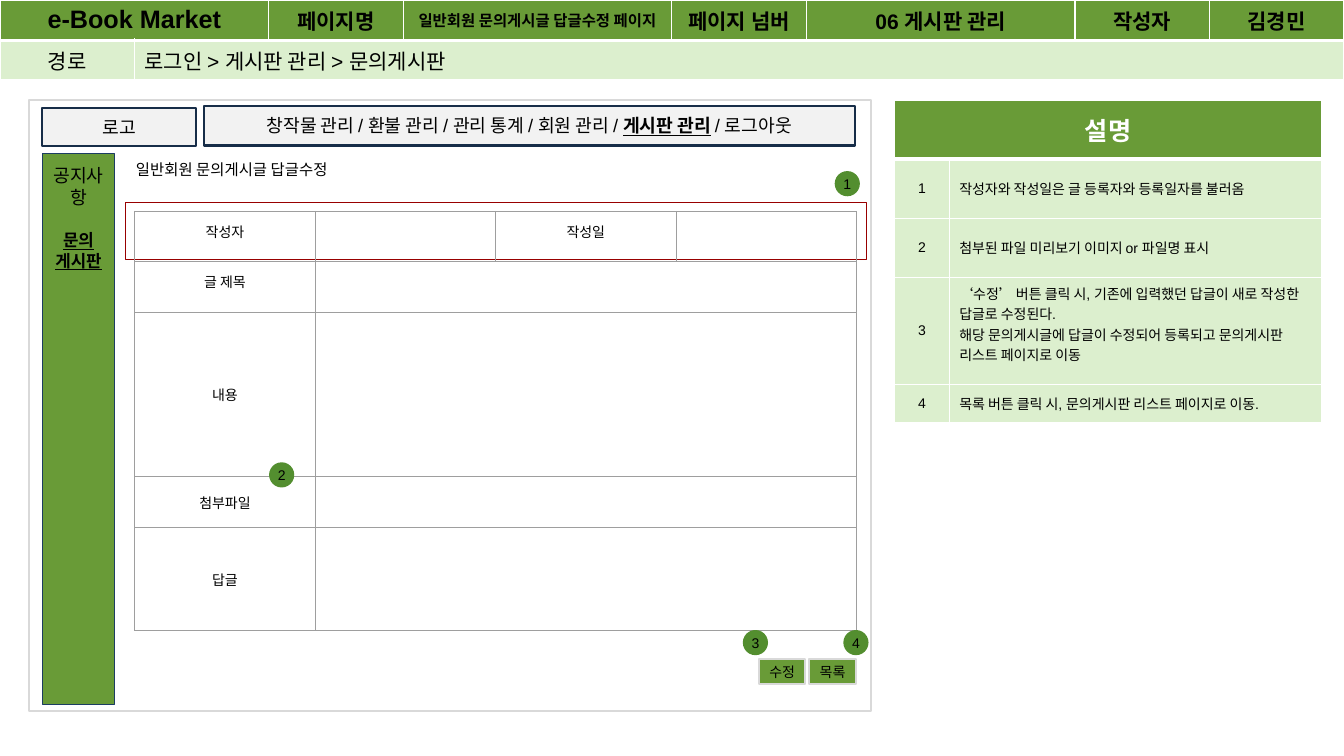
"""Builds the wireframe slide for the inquiry reply edit page."""
from lxml import etree
from pptx import Presentation
from pptx.dml.color import RGBColor
from pptx.enum.shapes import MSO_SHAPE
from pptx.enum.text import MSO_ANCHOR, PP_ALIGN
from pptx.oxml.ns import qn
from pptx.util import Pt

RECTANGLE, OVAL = MSO_SHAPE.RECTANGLE, MSO_SHAPE.OVAL
TOP, MIDDLE = MSO_ANCHOR.TOP, MSO_ANCHOR.MIDDLE
LEFT, CENTER = PP_ALIGN.LEFT, PP_ALIGN.CENTER
GREEN, PALE, BADGE = "699B37", "DCEFCE", "538E2F"
WHITE, BLACK, LIGHT, GREY, NAVY = "FFFFFF", "000000", "F2F2F2", "D9D9D9", "172D48"


def paint(fill, colour):
    if colour:
        fill.solid()
        fill.fore_color.rgb = RGBColor.from_string(colour)
    else:
        fill.background()


def write(frame, text, size=10, bold=False, colour=BLACK, align=CENTER, emphasis="", before=0):
    frame.word_wrap = True
    paragraph = frame.paragraphs[0]
    if paragraph.runs:
        paragraph = frame.add_paragraph()
    paragraph.alignment = align
    if before:
        paragraph.space_before = Pt(before)
    parts = text.partition(emphasis) if emphasis else (text,)
    for part in filter(None, parts):
        run = paragraph.add_run()
        run.text = part
        run.font.name = "Arial"
        run.font.size = Pt(size)
        run.font.bold = bold or part == emphasis
        run.font.underline = part == emphasis
        paint(run.font.fill, colour)


presentation = Presentation()
presentation.slide_width, presentation.slide_height = Pt(960), Pt(540)
slide = presentation.slides.add_slide(presentation.slide_layouts[6])

menu = "창작물 관리 / 환불 관리 / 관리 통계 / 회원 관리 / 게시판 관리 / 로그아웃"
boxes = [
    (20.9, 71.3, 601, 436.5, WHITE, GREY, 1.5, ""),
    (90, 90 + 54.7, 529, 41, None, "980000", 0.75, ""),
    (145.5, 75.6, 465, 28.4, LIGHT, NAVY, 1.5, menu),
    (30.2, 77, 110, 27.4, LIGHT, NAVY, 1.5, "로고"),
    (30.2, 110, 51.8, 393, GREEN, "1C3D62", 0.75, "공지사항"),
]
for left, top, width, height, fill, line, weight, text in boxes:
    box = slide.shapes.add_shape(RECTANGLE, Pt(left), Pt(top), Pt(width), Pt(height))
    box.shadow.inherit = False
    paint(box.fill, fill)
    paint(box.line.fill, line)
    box.line.width = Pt(weight)
    if text:
        write(box.text_frame, text, size=13, emphasis="게시판 관리")

sidebar = box.text_frame
sidebar.vertical_anchor = TOP
sidebar.margin_top = sidebar.margin_bottom = Pt(7.2)
write(sidebar, "문의", size=12, emphasis="문의", before=16)
write(sidebar, "게시판", size=12, emphasis="게시판")

heading = slide.shapes.add_textbox(Pt(90), Pt(108), Pt(179.3), Pt(28)).text_frame
heading.margin_top = heading.margin_bottom = Pt(7.2)
write(heading, "일반회원 문의게시글 답글수정", size=11, align=LEFT)

header_rows = [
    ["e-Book Market", "", "페이지명", "일반회원 문의게시글 답글수정 페이지", "페이지 넘버",
     "06 게시판 관리", "작성자", "김경민"],
    ["경로", "로그인 > 게시판 관리 > 문의게시판"],
]
note_rows = [
    ["설명"],
    ["1", "작성자와 작성일은 글 등록자와 등록일자를 불러옴"],
    ["2", "첨부된 파일 미리보기 이미지 or 파일명 표시"],
    ["3", "‘수정’ 버튼 클릭 시, 기존에 입력했던 답글이 새로 작성한 답글로 수정된다.\n"
          "해당 문의게시글에 답글이 수정되어 등록되고 문의게시판 리스트 페이지로 이동"],
    ["4", "목록 버튼 클릭 시, 문의게시판 리스트 페이지로 이동."],
]
board_rows = [["작성자", "", "작성일"], ["글 제목"], ["내용"], ["첨부파일"], ["답글"]]

tables = [
    (0, 0, [96, 96, 96, 192, 96, 192, 96, 96], [28.8, 28.2], header_rows,
     [(0, 0, 1), (1, 1, 7)], True, 15, 15),
    (639, 71.6, [39, 266], [42.2, 42.2, 42.2, 76.5, 27], note_rows,
     [(0, 0, 1)], True, 18, 10),
    (96.2, 150.9, [128.9] * 4, [36, 36.5, 117, 36.5, 73.5], board_rows,
     [(row, 1, 3) for row in range(1, 5)], False, 10, 10),
]
special_sizes = {"e-Book Market": 18, header_rows[0][3]: 11}

for left, top, widths, heights, rows, merges, banded, head_size, body_size in tables:
    table = slide.shapes.add_table(len(heights), len(widths), Pt(left), Pt(top),
                                   Pt(sum(widths)), Pt(sum(heights))).table
    table.first_row = table.horz_banding = False
    for column, width in zip(table.columns, widths):
        column.width = Pt(width)
    for r, height in enumerate(heights):
        table.rows[r].height = Pt(height)
        for c in range(len(widths)):
            cell = table.cell(r, c)
            text = rows[r][c] if c < len(rows[r]) else ""
            thick = {0: "B", 1: "T"}.get(r) if banded else None
            properties = cell._tc.get_or_add_tcPr()
            for side in "LRTB":
                weight = 3 if side == thick else 1 if banded else 0.75
                border = etree.SubElement(properties, qn("a:ln" + side), w=str(Pt(weight)))
                solid = etree.SubElement(border, qn("a:solidFill"))
                etree.SubElement(solid, qn("a:srgbClr"), val=WHITE if banded else "9E9E9E")
            paint(cell.fill, (PALE if r else GREEN) if banded else None)
            top_anchored = rows is board_rows and r < 2 or rows is header_rows and r == 1
            cell.vertical_anchor = TOP if top_anchored else MIDDLE
            if not banded:
                cell.margin_top = cell.margin_bottom = Pt(7.2)
            if text == header_rows[0][3]:
                cell.margin_left = cell.margin_right = 0
            if "\n" in text:
                cell.margin_bottom = Pt(13.6)
            for line in filter(None, text.split("\n")):
                write(cell.text_frame, line, bold=banded and r == 0,
                      size=special_sizes.get(text, body_size if r else head_size),
                      colour=WHITE if text == "설명" else BLACK,
                      align=LEFT if banded and r and c else CENTER)
    for r, first, last in merges:
        table.cell(r, first).merge(table.cell(r, last))

markers = [
    (RECTANGLE, 578.2, 470.9, 33, "목록"),
    (RECTANGLE, 542.2, 470.9, 33, "수정"),
    (OVAL, 596.2, 122.2, 18, "1"),
    (OVAL, 192.2, 330.2, 18, "2"),
    (OVAL, 530.6, 450, 18, "3"),
    (OVAL, 602.4, 450, 18, "4"),
]
for kind, left, top, width, text in markers:
    marker = slide.shapes.add_shape(kind, Pt(left), Pt(top), Pt(width), Pt(18))
    marker.shadow.inherit = False
    paint(marker.fill, GREEN if kind == RECTANGLE else BADGE)
    paint(marker.line.fill, GREY if kind == RECTANGLE else None)
    if kind == RECTANGLE:
        marker.line.width = Pt(1.5)
    frame = marker.text_frame
    frame.margin_left = frame.margin_right = frame.margin_top = frame.margin_bottom = 0
    write(frame, text)

presentation.save("out.pptx")
